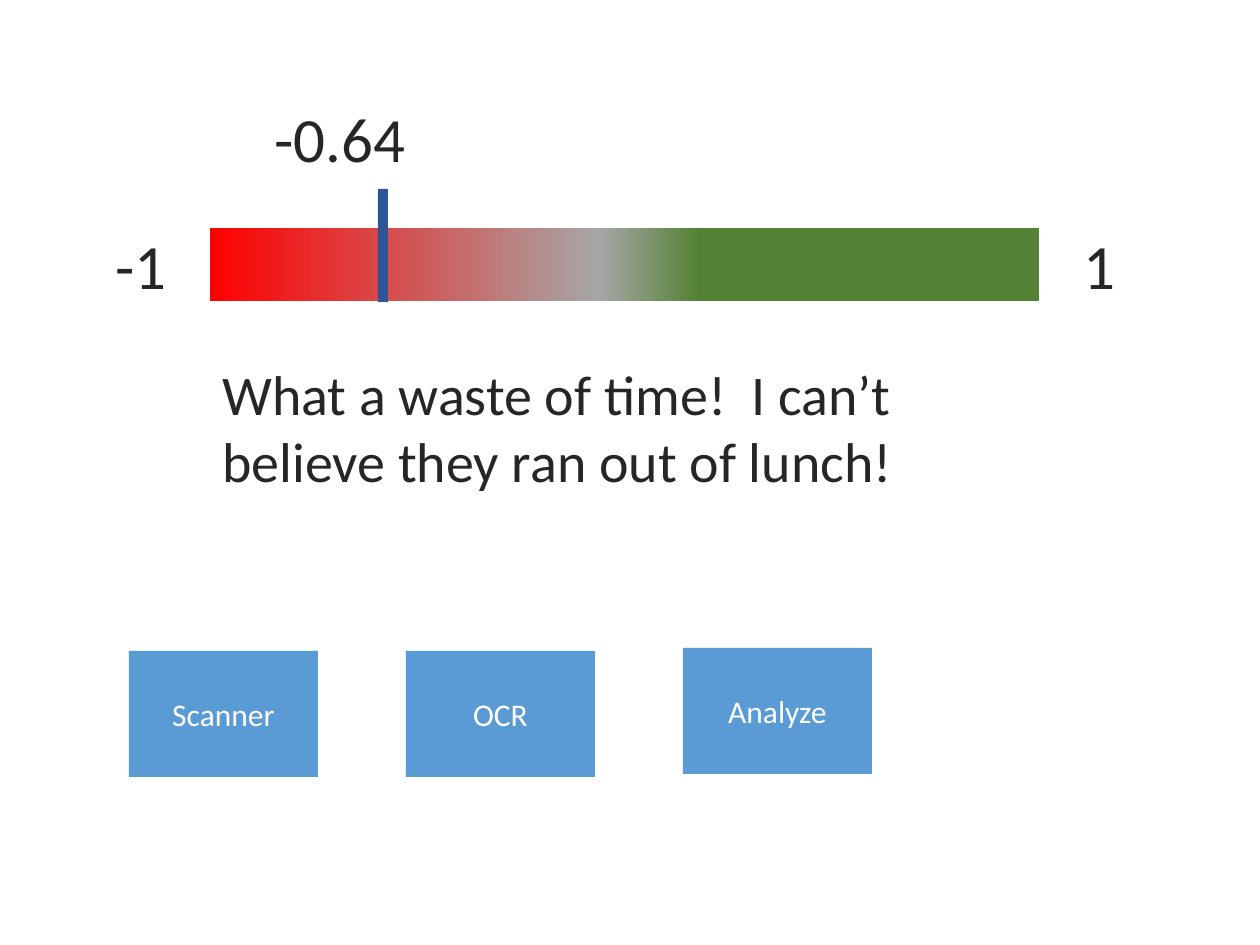
import copy

import pptx
import pptx.dml.color
import pptx.enum.shapes
import pptx.enum.text
import pptx.oxml.ns
import pptx.util

PX = pptx.util.Inches(1) // 126

BLUE = pptx.dml.color.RGBColor(0x5B, 0x9B, 0xD5)
NAVY = pptx.dml.color.RGBColor(0x2F, 0x55, 0x97)
RED = pptx.dml.color.RGBColor(0xFF, 0x00, 0x00)
GRAY = pptx.dml.color.RGBColor(0xA6, 0xA6, 0xA6)
GREEN = pptx.dml.color.RGBColor(0x54, 0x82, 0x35)
INK = pptx.dml.color.RGBColor(0x26, 0x26, 0x26)
WHITE = pptx.dml.color.RGBColor(0xFF, 0xFF, 0xFF)

deck = pptx.Presentation()
deck.slide_width, deck.slide_height = 1260 * PX, 945 * PX
page = deck.slides.add_slide(deck.slide_layouts[6])


def add_rectangle(left, top, width, height, color):
    box = page.shapes.add_shape(
        pptx.enum.shapes.MSO_SHAPE.RECTANGLE,
        left * PX, top * PX, width * PX, height * PX)
    box.shadow.inherit = False
    box.line.fill.background()
    box.fill.solid()
    box.fill.fore_color.rgb = color
    return box


def write(box, text, size, color):
    box.text_frame.word_wrap = True
    para = box.text_frame.paragraphs[0]
    span = para.add_run()
    span.text = text
    formats = {"name": "Calibri", "size": pptx.util.Pt(size)}
    for name, value in formats.items():
        setattr(span.font, name, value)
    span.font.color.rgb = color
    return para


# Processing steps
for index, (step, top) in enumerate([("Scanner", 651), ("OCR", 651), ("Analyze", 648)]):
    box = add_rectangle(129 + 277 * index, top, 189, 126, BLUE)
    box.text_frame.vertical_anchor = pptx.enum.text.MSO_ANCHOR.MIDDLE
    write(box, step, 18, WHITE).alignment = pptx.enum.text.PP_ALIGN.CENTER

# Sentiment scale
scale = add_rectangle(210, 228, 829, 73, GRAY)
scale.fill.gradient()
scale.fill.gradient_angle = 0
stop_list = scale._element.spPr.find(".//" + pptx.oxml.ns.qn("a:gsLst"))
stop_list.append(copy.deepcopy(stop_list[-1]))
for stop, (position, color) in zip(
        scale.fill.gradient_stops, [(0, RED), (0.47, GRAY), (0.59, GREEN)]):
    stop.position = position
    stop.color.rgb = color

# Score marker
add_rectangle(378, 189, 10, 113, NAVY)

# Labels and the analyzed sentence
for text, left, top, width, height, size in [
    ("-1", 103, 220, 105, 89, 36),
    ("1", 1071, 220, 105, 89, 36),
    ("What a waste of time!  I can’t believe they ran out of lunch!",
     210, 353, 829, 149, 32),
    ("-0.64", 262, 93, 159, 89, 36),
]:
    label = page.shapes.add_textbox(left * PX, top * PX, width * PX, height * PX)
    label.text_frame.auto_size = pptx.enum.text.MSO_AUTO_SIZE.SHAPE_TO_FIT_TEXT
    write(label, text, size, INK)

deck.save("out.pptx")
